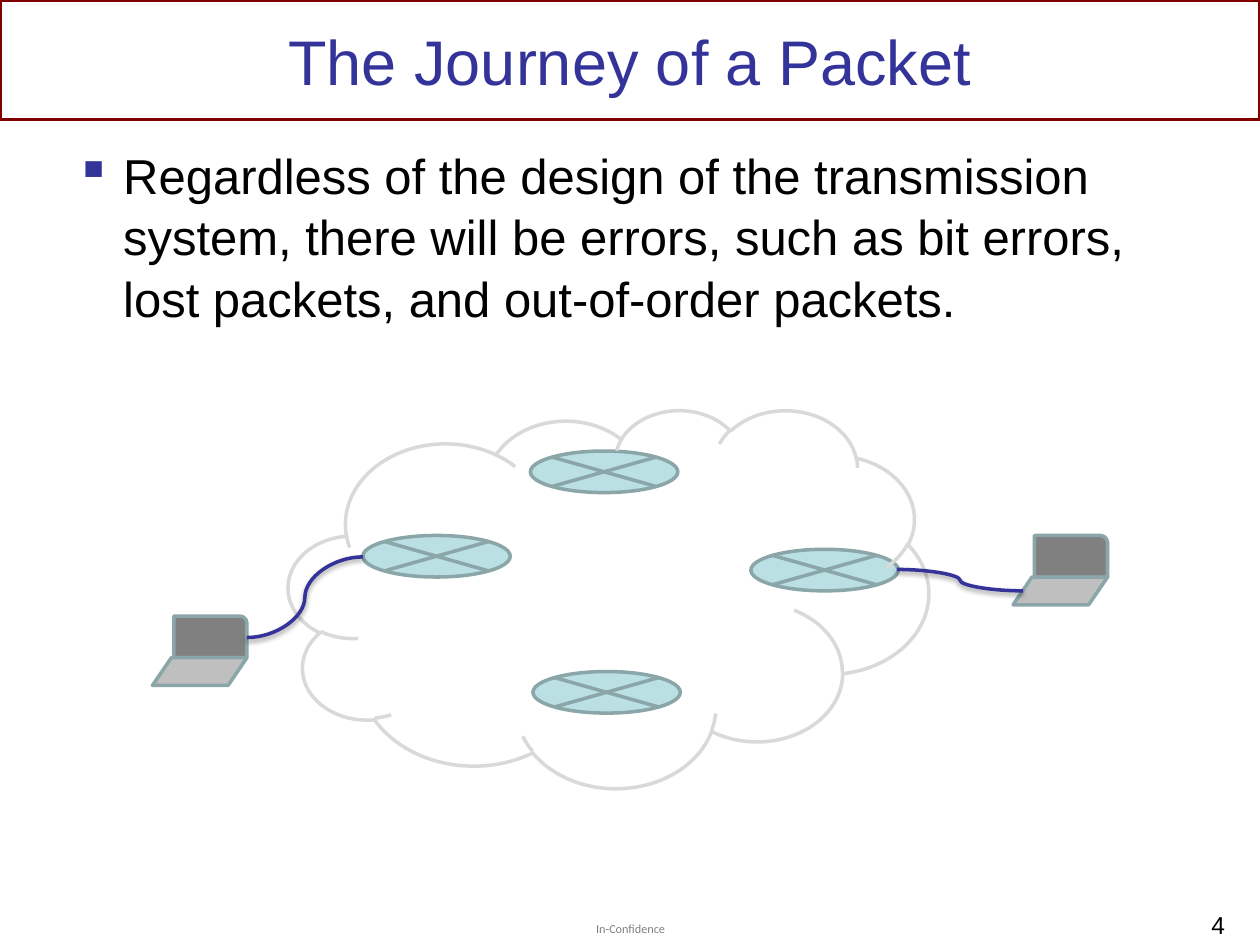
from dataclasses import dataclass

from lxml import etree
from pptx import Presentation
from pptx.dml.color import RGBColor
from pptx.enum.shapes import MSO_CONNECTOR, MSO_SHAPE
from pptx.enum.text import MSO_ANCHOR, PP_ALIGN
from pptx.oxml import parse_xml
from pptx.oxml.ns import nsdecls, qn
from pptx.util import Inches, Pt

RECTANGLE = MSO_SHAPE.RECTANGLE
ROUTER = MSO_SHAPE.FLOWCHART_SUMMING_JUNCTION
SCREEN = MSO_SHAPE.ROUND_1_RECTANGLE
KEYBOARD = MSO_SHAPE.FLOWCHART_DATA
CLOUD = MSO_SHAPE.CLOUD
CURVE = MSO_CONNECTOR.CURVE
LEFT, CENTER, RIGHT = PP_ALIGN.LEFT, PP_ALIGN.CENTER, PP_ALIGN.RIGHT
TOP, MIDDLE = MSO_ANCHOR.TOP, MSO_ANCHOR.MIDDLE


@dataclass(frozen=True)
class Theme:
    frame: str = "800000"
    accent: str = "333399"
    ink: str = "000000"
    muted: str = "808080"
    router: str = "BBE0E3"
    device_line: str = "8AA6A8"
    screen: str = "808080"
    keyboard: str = "BFBFBF"
    cloud: str = "D9D9D9"
    font: str = "Arial"
    label_font: str = "Calibri"
    title_size: float = 36
    body_size: float = 28
    number_size: float = 14
    label_size: float = 7
    line: float = 2


def write_text(frame, text, *, size, color, font, align=LEFT, bullet=None,
               bullet_color=None, indent=0.38, spacing=None):
    paragraph = frame.paragraphs[0]
    paragraph.alignment = align
    if spacing:
        paragraph.line_spacing = spacing
    if bullet:
        props = paragraph._p.get_or_add_pPr()
        props.set("marL", str(Inches(indent)))
        props.set("indent", str(-Inches(indent)))
        props.append(parse_xml(
            f'<a:buClr {nsdecls("a")}><a:srgbClr val="{bullet_color}"/></a:buClr>'))
        props.append(parse_xml(f'<a:buChar {nsdecls("a")} char="{bullet}"/>'))
    run = paragraph.add_run()
    run.text = text
    run.font.size = Pt(size)
    run.font.name = font
    run.font.color.rgb = RGBColor.from_string(color)


class SlideBuilder:
    def __init__(self, slide, theme):
        self.slide = slide
        self.theme = theme

    def text(self, box, text, *, anchor=TOP, wrap=True, inset=None, **style):
        frame = self.slide.shapes.add_textbox(*map(Inches, box)).text_frame
        frame.word_wrap = wrap
        frame.vertical_anchor = anchor
        if inset is not None:
            frame.margin_left = frame.margin_right = Inches(inset)
            frame.margin_top = frame.margin_bottom = Inches(inset)
        write_text(frame, text, **style)

    def shape(self, kind, box, line, fill=None):
        shape = self.slide.shapes.add_shape(kind, *map(Inches, box))
        shape.shadow.inherit = False
        if fill:
            shape.fill.solid()
            shape.fill.fore_color.rgb = RGBColor.from_string(fill)
        else:
            shape.fill.background()
        shape.line.color.rgb = RGBColor.from_string(line)
        shape.line.width = Pt(self.theme.line)

    def router(self, left, top):
        self.shape(ROUTER, (left, top, 1.17, 0.33),
                   self.theme.device_line, self.theme.router)

    def laptop(self, left, top):
        line = self.theme.device_line
        self.shape(SCREEN, (left + 0.17, top, 0.58, 0.33), line, self.theme.screen)
        self.shape(KEYBOARD, (left, top + 0.33, 0.75, 0.22), line, self.theme.keyboard)

    def link(self, start, end):
        link = self.slide.shapes.add_connector(CURVE, *map(Inches, start + end))
        link.line.color.rgb = RGBColor.from_string(self.theme.accent)
        link.line.width = Pt(self.theme.line)
        # Soft shadow straight below the link
        effects = etree.SubElement(link._element.spPr, qn("a:effectLst"))
        shadow = etree.SubElement(effects, qn("a:outerShdw"), blurRad=str(Pt(3.1)),
                                  dist=str(Pt(1.6)), dir="5400000", rotWithShape="0")
        color = etree.SubElement(shadow, qn("a:srgbClr"), val=self.theme.ink)
        etree.SubElement(color, qn("a:alpha"), val="38000")


def main():
    prs = Presentation()
    prs.slide_width, prs.slide_height = Inches(10), Inches(7.5)
    theme = Theme()
    page = SlideBuilder(prs.slides.add_slide(prs.slide_layouts[6]), theme)

    # Title band and footer label
    page.shape(RECTANGLE, (0, 0, 10, 0.95), theme.frame)
    page.text((4.72, 7.31, 0.57, 0.12), "In-Confidence", wrap=False, inset=0,
              size=theme.label_size, color=theme.muted, font=theme.label_font,
              align=CENTER)

    # Title, body and slide number
    page.text((0.5, 0.08, 9, 0.79), "The Journey of a Packet", anchor=MIDDLE,
              size=theme.title_size, color=theme.accent, font=theme.font, align=CENTER)
    page.text((0.5, 1.08, 9, 1.75),
              "Regardless of the design of the transmission system, there will be "
              "errors, such as bit errors, lost packets, and out-of-order packets.",
              size=theme.body_size, color=theme.ink, font=theme.font,
              bullet="▪", bullet_color=theme.accent, spacing=1.05)
    page.text((7.62, 7.17, 2.2, 0.3), "4", size=theme.number_size,
              color=theme.ink, font=theme.font, align=RIGHT)

    # Routers, laptops and the network cloud
    for left, top in ((2.88, 4.25), (4.21, 3.58), (4.23, 5.33), (5.96, 4.36)):
        page.router(left, top)
    for left, top in ((8.04, 4.25), (1.21, 4.89)):
        page.laptop(left, top)
    page.shape(CLOUD, (2.29, 3.25, 5.08, 3), theme.cloud)

    # Links from the laptops into the network
    page.link((2.88, 4.42), (1.96, 5.06))
    page.link((8.12, 4.69), (7.12, 4.52))

    prs.save("out.pptx")


if __name__ == "__main__":
    main()
